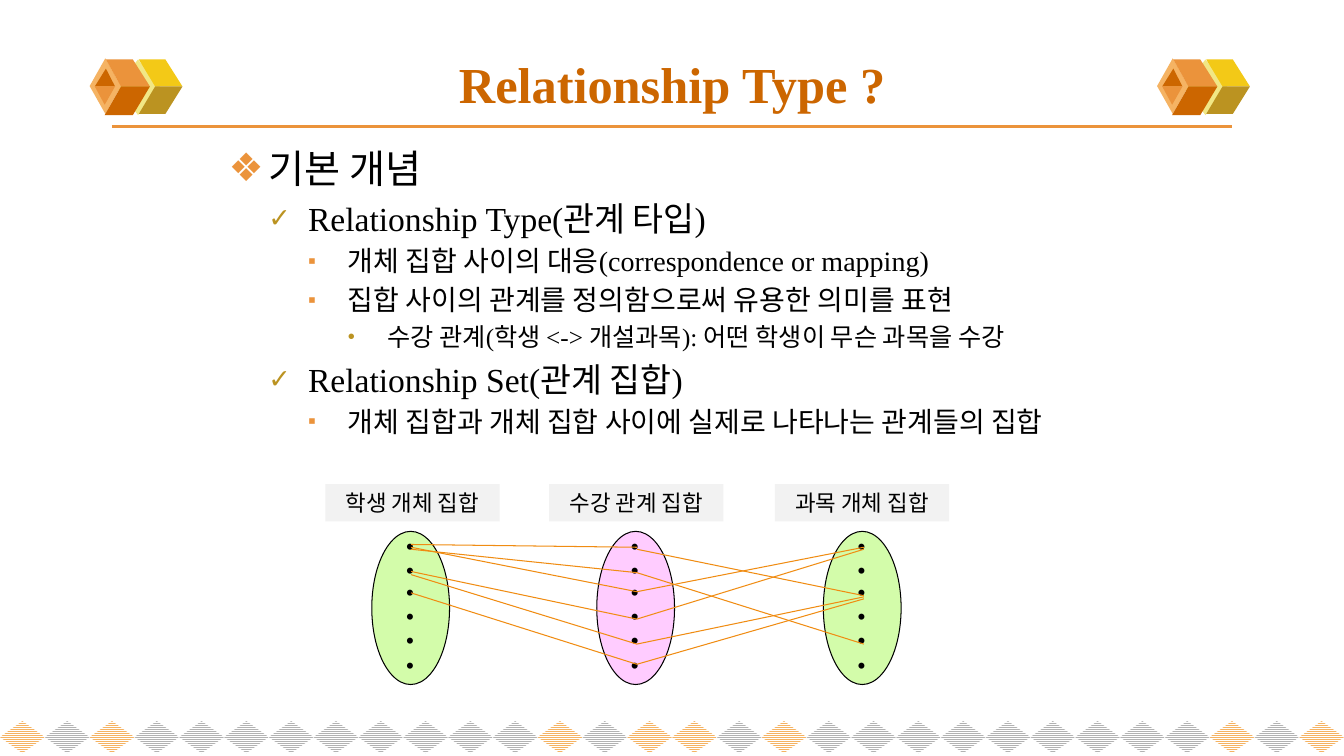
from lxml.etree import SubElement
from pptx import Presentation
from pptx.dml.color import RGBColor
from pptx.enum.dml import MSO_PATTERN_TYPE
from pptx.enum.shapes import MSO_CONNECTOR, MSO_SHAPE
from pptx.enum.text import MSO_ANCHOR, MSO_AUTO_SIZE, PP_ALIGN
from pptx.oxml.ns import qn
from pptx.util import Cm, Pt

FONT = "Times New Roman"
BLACK = RGBColor(0x00, 0x00, 0x00)
WHITE = RGBColor(0xFF, 0xFF, 0xFF)
RUST = RGBColor(0xCC, 0x66, 0x00)
ORANGE = RGBColor(0xEB, 0x93, 0x3B)
PEACH = RGBColor(0xF5, 0xB3, 0x63)
AMBER = RGBColor(0xF0, 0x8C, 0x12)
CREAM = RGBColor(0xF1, 0xE7, 0x85)
YELLOW = RGBColor(0xF3, 0xC9, 0x17)
OLIVE = RGBColor(0xBB, 0x93, 0x21)
GREEN = RGBColor(0xD3, 0xFC, 0xAA)
PINK = RGBColor(0xFF, 0xCC, 0xFF)
PALE_GRAY = RGBColor(0xF2, 0xF2, 0xF2)
GRAY = RGBColor(0xB2, 0xB2, 0xB2)

WIDTH, HEIGHT = 33.87, 19.05
TITLE = "Relationship Type ?"
OUTLINE = [
    (0, "기본 개념"),
    (1, "Relationship Type(관계 타입)"),
    (2, "개체 집합 사이의 대응(correspondence or mapping)"),
    (2, "집합 사이의 관계를 정의함으로써 유용한 의미를 표현"),
    (3, "수강 관계(학생 <-> 개설과목): 어떤 학생이 무슨 과목을 수강"),
    (1, "Relationship Set(관계 집합)"),
    (2, "개체 집합과 개체 집합 사이에 실제로 나타나는 관계들의 집합"),
]
LEVELS = [(28, "❖", ORANGE, 100), (24, "✓", OLIVE, 80),
          (20, "▪", ORANGE, 80), (18, "•", OLIVE, 80)]
INDENT = 1.0

SETS = [("학생 개체 집합", GREEN, 9.37, 8.2),
        ("수강 관계 집합", PINK, 15.04, 13.84),
        ("과목 개체 집합", GREEN, 20.75, 19.53)]
DOT_TOPS = [13.23, 13.84, 14.4, 15.01, 15.6, 16.23]
LINK_XS = [10.36, 16.05, 21.77]
LINKS = [(13.72, 13.79, 13.84, 15.01), (13.84, 14.43, 14.43, 16.23),
         (13.79, 14.91, 14.91, 13.79), (14.4, 15.6, 15.6, 13.84),
         (14.48, 16.23, 16.23, 15.04), (14.94, 16.74, 16.74, 15.09)]

CUBE_XS = [2.26, 29.16]
CUBE_BACKS = [(CREAM, 0.66, 1.5, 1.12), (PEACH, 0, 1.47, 0.79)]
CUBE_FACES = [
    (YELLOW, [(1.65, 2.18), (2.34, 2.18), (1.91, 1.5), (1.24, 1.5)]),
    (OLIVE, [(1.65, 2.18), (2.34, 2.18), (1.91, 2.87), (1.24, 2.87)]),
    (ORANGE, [(0.79, 2.18), (1.52, 2.18), (1.09, 1.5), (0.41, 1.5)]),
    (RUST, [(0.79, 2.18), (1.52, 2.18), (1.09, 2.9), (0.38, 2.9)]),
    (RUST, [(0.41, 1.73), (0.13, 2.18), (0.64, 2.18)]),
    (ORANGE, [(0.38, 2.64), (0.13, 2.18), (0.64, 2.18)]),
]
DIAMONDS = 30
ORANGE_DIAMONDS = {0, 2, 12, 14}


def place(sp, x, y, w, h):
    sp.left, sp.top, sp.width, sp.height = Cm(x), Cm(y), Cm(w), Cm(h)


def paint(sp, color):
    sp.shadow.inherit = False
    sp.fill.solid()
    sp.fill.fore_color.rgb = color
    sp.line.fill.background()


def add_preset(slide, kind, x, y, w, h, color):
    sp = slide.shapes.add_shape(kind, Cm(x), Cm(y), Cm(w), Cm(h))
    paint(sp, color)
    return sp


def add_line(slide, x1, y1, x2, y2, color, width):
    line = slide.shapes.add_connector(
        MSO_CONNECTOR.STRAIGHT, Cm(x1), Cm(y1), Cm(x2), Cm(y2))
    line.line.color.rgb = color
    line.line.width = Pt(width)
    SubElement(line._element.spPr, qn("a:effectLst"))


def add_run(p, text, size, color=BLACK, bold=False):
    r = p.add_run()
    r.text = text
    r.font.name, r.font.size, r.font.bold = FONT, Pt(size), bold
    r.font.color.rgb = color


def set_bullet(p, level, char, color, percent):
    pPr = p._p.get_or_add_pPr()
    pPr.set("marL", str(Cm(INDENT * (level + 1))))
    pPr.set("indent", str(-Cm(INDENT)))
    clr = SubElement(pPr, qn("a:buClr"))
    SubElement(clr, qn("a:srgbClr")).set("val", str(color))
    SubElement(pPr, qn("a:buSzPct")).set("val", str(percent * 1000))
    SubElement(pPr, qn("a:buChar")).set("char", char)


def add_decor(slide):
    pitch = WIDTH / DIAMONDS
    for i in range(DIAMONDS):
        sp = add_preset(slide, MSO_SHAPE.DIAMOND, i * pitch, 18.17, pitch, 0.81, WHITE)
        sp.fill.patterned()
        sp.fill.pattern = MSO_PATTERN_TYPE.NARROW_HORIZONTAL
        sp.fill.fore_color.rgb = PEACH if i % 15 in ORANGE_DIAMONDS else GRAY
        sp.fill.back_color.rgb = WHITE
    add_line(slide, 2.82, 3.18, 31.04, 3.18, ORANGE, 2.25)
    for x in CUBE_XS:
        for color, dx, y, w in CUBE_BACKS:
            add_preset(slide, MSO_SHAPE.DIAMOND, x + dx, y, w, 1.4, color)
        for color, points in CUBE_FACES:
            pts = [(Cm(x + dx), Cm(y)) for dx, y in points]
            builder = slide.shapes.build_freeform(*pts[0])
            builder.add_line_segments(pts[1:])
            paint(builder.convert_to_shape(), color)


def add_text(slide):
    title, body = slide.placeholders
    place(title, 1.7, 1.14, 30.48, 1.93)
    tf = title.text_frame
    tf.auto_size = MSO_AUTO_SIZE.NONE
    tf.vertical_anchor = MSO_ANCHOR.MIDDLE
    tf.paragraphs[0].alignment = PP_ALIGN.CENTER
    add_run(tf.paragraphs[0], TITLE, 36, RUST, True)

    place(body, 5.51, 3.43, 22.86, 8.15)
    tf = body.text_frame
    tf.auto_size = MSO_AUTO_SIZE.NONE
    tf.margin_top = tf.margin_bottom = Cm(0.2)
    for i, (level, text) in enumerate(OUTLINE):
        p = tf.add_paragraph() if i else tf.paragraphs[0]
        size, char, color, percent = LEVELS[level]
        p.level = level
        set_bullet(p, level, char, color, percent)
        p.space_before = Pt(size * 0.2 if i else 0)
        add_run(p, text, size)


def add_diagram(slide):
    for label, color, x, label_x in SETS:
        sp = add_preset(slide, MSO_SHAPE.OVAL, x, 13.39, 1.96, 3.86, color)
        sp.line.color.rgb = BLACK
        sp.line.width = Pt(0.75)
        for y in DOT_TOPS:
            box = slide.shapes.add_textbox(Cm(x + 0.6), Cm(y), Cm(0.86), Cm(1.02))
            box.text_frame.word_wrap = True
            add_run(box.text_frame.paragraphs[0], "•", 18)
        sp = add_preset(slide, MSO_SHAPE.RECTANGLE, label_x, 12.2, 4.39, 0.94, PALE_GRAY)
        p = sp.text_frame.paragraphs[0]
        p.alignment = PP_ALIGN.CENTER
        add_run(p, label, 16)
    left, middle, right = LINK_XS
    for y1, y2, y3, y4 in LINKS:
        add_line(slide, left, y1, middle, y2, AMBER, 0.75)
        add_line(slide, middle, y3, right, y4, AMBER, 0.75)


def main():
    """Build the relationship type slide."""
    prs = Presentation()
    prs.slide_width, prs.slide_height = Cm(WIDTH), Cm(HEIGHT)
    slide = prs.slides.add_slide(prs.slide_layouts[1])
    add_decor(slide)
    add_text(slide)
    add_diagram(slide)
    prs.save("out.pptx")


if __name__ == "__main__":
    main()
